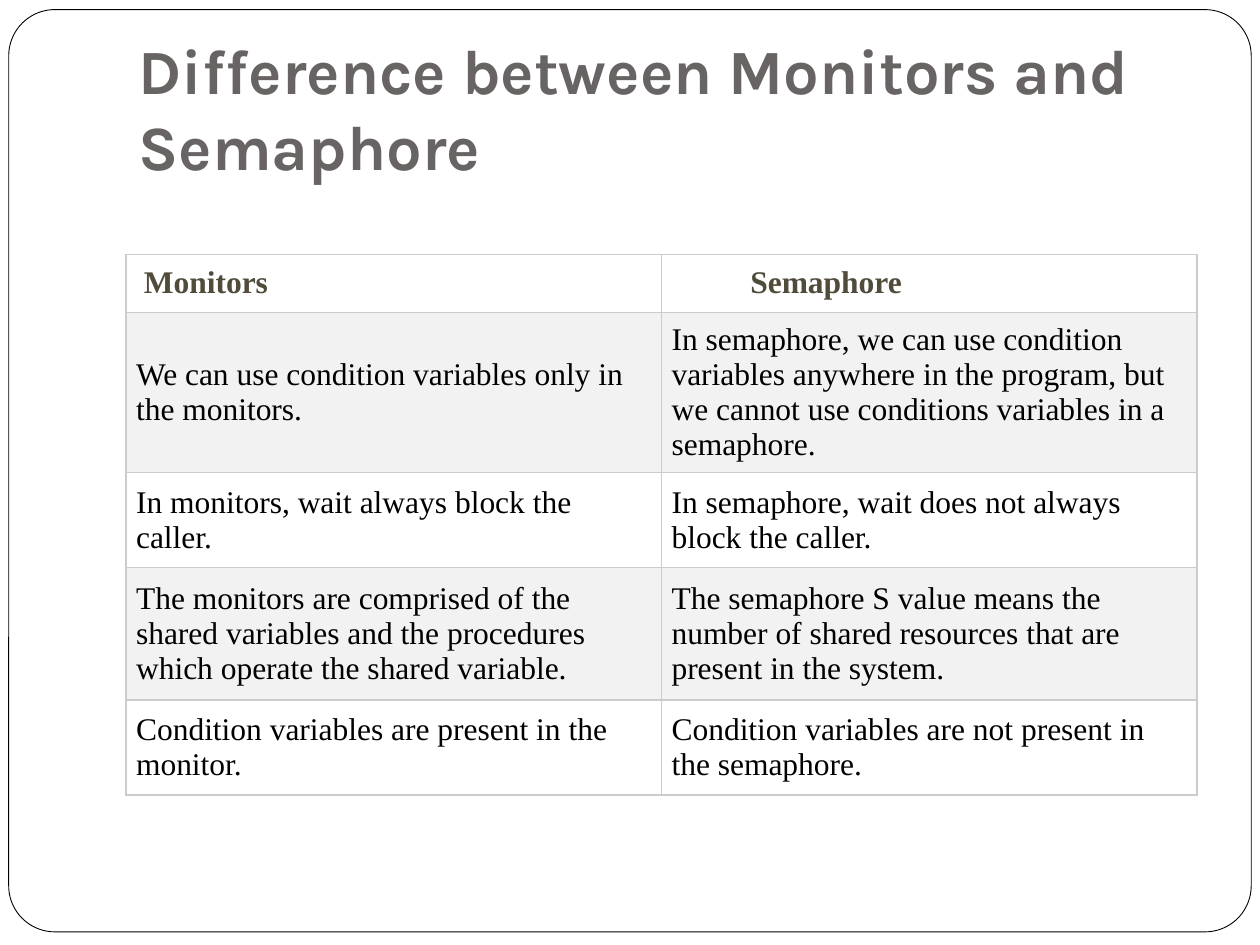
from pptx import Presentation
from pptx.dml.color import RGBColor as Rgb
from pptx.enum.shapes import MSO_SHAPE as Shape
from pptx.enum.text import MSO_ANCHOR as Anchor, MSO_AUTO_SIZE as Auto, PP_ALIGN as Align
from pptx.oxml import parse_xml
from pptx.oxml.ns import nsdecls
from pptx.util import Pt

PAD = 5.76
HEADS = [("Monitors", 4.5), ("Semaphore", 45)]
ROWS = [
    ("We can use condition variables only in the monitors.",
     "In semaphore, we can use condition variables anywhere in the program, "
     "but we cannot use conditions variables in a semaphore."),
    ("In monitors, wait always block the caller.",
     "In semaphore, wait does not always block the caller."),
    ("The monitors are comprised of the shared variables and the procedures "
     "which operate the shared variable.",
     "The semaphore S value means the number of shared resources that are "
     "present in the system."),
    ("Condition variables are present in the monitor.",
     "Condition variables are not present in the semaphore."),
]
HEIGHTS = [33.1, 91.8, 54.3, 75.6, 54.3]


def paint(part, color):
    part.solid()
    part.fore_color.rgb = Rgb.from_string(color)


def add_run(para, text, font, size, color, bold=False):
    run = para.add_run()
    run.text = text
    run.font.name = font
    run.font.size = Pt(size)
    run.font.bold = bold
    paint(run.font.fill, color)


def add_frame(slide):
    frame = slide.shapes.add_shape(
        Shape.ROUNDED_RECTANGLE, Pt(5), Pt(5.5), Pt(710), Pt(527))
    frame.adjustments[0] = 0.05
    frame.shadow.inherit = False
    paint(frame.fill, "FFFFFF")
    paint(frame.line.fill, "000000")
    frame.line.width = Pt(0.5)
    slide.shapes._spTree.insert(2, frame._element)


def set_title(slide, text):
    title = slide.shapes.title
    title.left, title.top, title.width, title.height = Pt(72), Pt(21.6), Pt(612), Pt(90)
    body = title.text_frame
    body.auto_size = Auto.NONE
    body.word_wrap = True
    body.vertical_anchor = Anchor.BOTTOM
    body.margin_left = body.margin_right = body.margin_bottom = Pt(7.2)
    body.margin_top = Pt(3.6)
    para = body.paragraphs[0]
    para.alignment = Align.LEFT
    add_run(para, text, "Karla", 36, "696464", True)


def set_edges(cell, color, width):
    props = cell._tc.get_or_add_tcPr()
    for spot, side in enumerate("LRTB"):
        props.insert(spot, parse_xml(
            f'<a:ln{side} {nsdecls("a")} w="{Pt(width)}"><a:solidFill>'
            f'<a:srgbClr val="{color}"/></a:solidFill></a:ln{side}>'))


def fill_cell(cell, text, fill, color="000000", bold=False, indent=0):
    cell.vertical_anchor = Anchor.MIDDLE
    cell.margin_left = Pt(PAD + indent)
    cell.margin_right = cell.margin_top = cell.margin_bottom = Pt(PAD)
    paint(cell.fill, fill)
    set_edges(cell, "CCCCCC", 0.75)
    add_run(cell.text_frame.paragraphs[0], text, "Times New Roman", 18, color, bold)


def add_grid(slide):
    grid = slide.shapes.add_table(
        len(HEIGHTS), 2, Pt(72), Pt(145.3), Pt(612), Pt(sum(HEIGHTS))).table
    for row, height in zip(grid.rows, HEIGHTS):
        row.height = Pt(height)
    for col, (text, indent) in enumerate(HEADS):
        fill_cell(grid.cell(0, col), text, "FFFFFF", "504B3A", True, indent)
    for row, texts in enumerate(ROWS, 1):
        for col, text in enumerate(texts):
            fill_cell(grid.cell(row, col), text, "F2F2F2" if row % 2 else "FFFFFF")


def main():
    deck = Presentation()
    deck.slide_width, deck.slide_height = Pt(720), Pt(540)
    slide = deck.slides.add_slide(deck.slide_layouts[5])
    paint(slide.background.fill, "FFFFFF")
    add_frame(slide)
    set_title(slide, "Difference between Monitors and Semaphore")
    add_grid(slide)
    deck.save("out.pptx")


if __name__ == "__main__":
    main()
